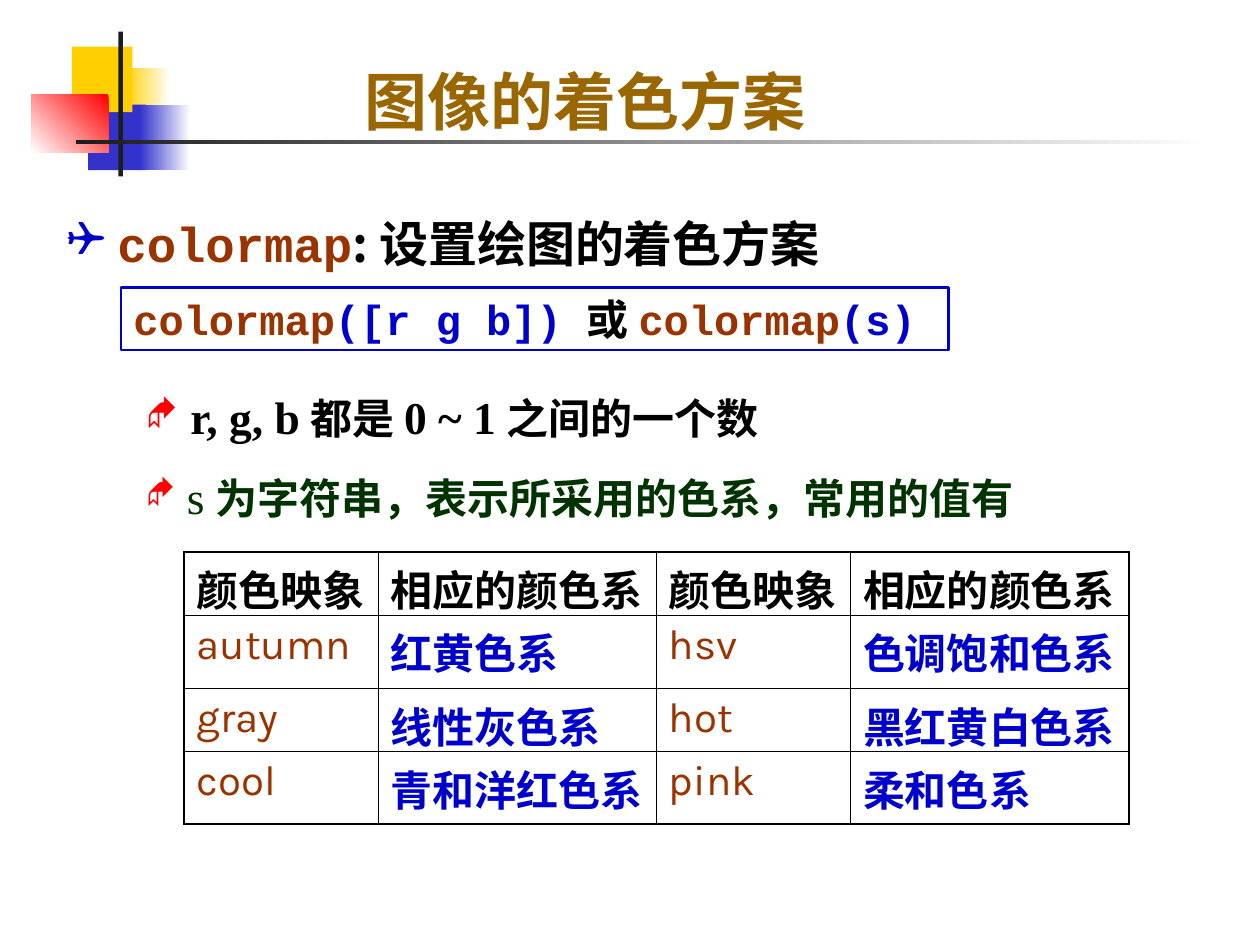
from lxml import etree
from pptx import Presentation, util as u
from pptx.dml.color import RGBColor
from pptx.enum import shapes, text
from pptx.oxml.ns import qn

THEME = dict(
    white="FFFFFF", black="000000", ink="1C1C1C", gold="FFCF01", indigo="3333CC",
    red="FF0000", title="996600", code="993300", blue="0000CC", green="003300",
    latin="Times New Roman", mono="Courier New", cjk="Noto Sans CJK SC", table="Karla",
    title_size=36, head_size=28, note_size=26, body_size=24,
)
T = THEME

prs = Presentation()
prs.slide_width, prs.slide_height = u.Inches(10), u.Inches(7.5)
COL, ROW = prs.slide_width / 100, prs.slide_height / 75
s = prs.slides.add_slide(prs.slide_layouts[5])


def grid(x, y, w, h):
    return [round(v * unit) for v, unit in zip((x, y, w, h), (COL, ROW, COL, ROW))]


def write(tf, runs, bullet=None, **para):
    for name, value in dict(margin_left=u.Inches(0.1), margin_right=u.Inches(0.1),
                            margin_top=u.Inches(0.05), margin_bottom=u.Inches(0.05),
                            word_wrap=True).items():
        setattr(tf, name, value)
    p = tf.paragraphs[0]
    for name, value in dict(alignment=text.PP_ALIGN.LEFT, **para).items():
        setattr(p, name, value)
    if bullet:
        char, color, share = bullet
        pPr = p._p.get_or_add_pPr()
        pPr.set("marL", "0")
        pPr.set("indent", "0")
        etree.SubElement(etree.SubElement(pPr, qn("a:buClr")), qn("a:srgbClr"), val=T[color])
        etree.SubElement(pPr, qn("a:buSzPct"), val=str(share * 1000))
        etree.SubElement(pPr, qn("a:buFont"), typeface="Wingdings")
        etree.SubElement(pPr, qn("a:buChar"), char=char)
    for words, font, size, color, bold in runs:
        r = p.add_run()
        r.text = words
        for name, value in dict(name=T[font], size=u.Pt(T[size]), bold=bold).items():
            setattr(r.font, name, value)
        r.font.color.rgb = RGBColor.from_string(T[color])
        ea = etree.Element(qn("a:ea"), typeface=T["cjk"])
        r.font._element.find(qn("a:latin")).addnext(ea)


decorations = [
    ((9.9, 5.4, 3.6, 5.2), ("white", "gold"), 180),
    ((7, 8.3, 4.6, 5.2), ("indigo",), None),
    ((5.7, 3.7, 4.8, 5.2), ("gold",), None),
    ((11.1, 8.3, 4, 5.2), ("white", "indigo"), 180),
    ((2.5, 7.5, 6.1, 4.6), ("red", "white"), 225),
    ((9.4, 2.5, 0.35, 11.5), ("ink",), None),
    ((6, 11.1, 90, 0.35), ("white", "ink"), 180),
]
for place, colors, angle in decorations:
    sp = s.shapes.add_shape(shapes.MSO_SHAPE.RECTANGLE, *grid(*place))
    sp.shadow.inherit = False
    sp.line.fill.background()
    if angle is None:
        sp.fill.solid()
        sp.fill.fore_color.rgb = RGBColor.from_string(T[colors[0]])
    else:
        sp.fill.gradient()
        sp.fill.gradient_angle = angle
        for stop, position, color in zip(sp.fill.gradient_stops, (0, 1), colors):
            stop.position = position
            stop.color.rgb = RGBColor.from_string(T[color])

title = s.shapes.title
for name, value in zip(("left", "top", "width", "height"), grid(27.9, 4.5, 48, 7)):
    setattr(title, name, value)
title.text_frame.vertical_anchor = text.MSO_ANCHOR.BOTTOM
write(title.text_frame, [("图像的着色方案", "latin", "title_size", "title", True)])

notes = [
    ((4.3, 15.5, 87.5, 6.6), ("❑", "blue", 100), 1.2, [
        (" ", "latin", "head_size", "black", True),
        ("colormap", "mono", "head_size", "code", True),
        (": 设置绘图的着色方案", "cjk", "head_size", "black", True)]),
    ((10.6, 30.4, 57.9, 5.4), ("◆", "red", 80), 1.0, [
        (" r, g, b", "latin", "note_size", "black", True),
        (" 都是 ", "latin", "body_size", "black", True),
        ("0 ~ 1", "latin", "note_size", "black", True),
        (" 之间的一个数", "latin", "body_size", "black", True)]),
    ((10.6, 36.7, 81.1, 5.4), ("◆", "red", 80), 1.0, [
        (" ", "latin", "body_size", "green", False),
        ("s", "latin", "note_size", "green", False),
        (" ", "latin", "body_size", "green", False),
        ("为字符串，表示所采用的色系，常用的值有", "latin", "body_size", "green", True)]),
]
for place, bullet, spacing, runs in notes:
    sp = s.shapes.add_textbox(*grid(*place))
    write(sp.text_frame, runs, bullet, line_spacing=spacing)

syntax = s.shapes.add_shape(shapes.MSO_SHAPE.RECTANGLE, *grid(9.6, 22.8, 65.7, 5))
syntax.shadow.inherit = False
syntax.fill.background()
syntax.line.color.rgb = RGBColor.from_string(T["blue"])
syntax.line.width = u.Pt(1.5)
syntax.text_frame.vertical_anchor = text.MSO_ANCHOR.TOP
write(syntax.text_frame, [
    (words, font, "body_size", color, True) for words, font, color in (
        ("colormap", "mono", "code"), ("([r g b]) ", "mono", "blue"),
        ("或 ", "cjk", "black"), ("colormap", "mono", "code"), ("(s)", "mono", "blue"))])

schemes = [
    ("颜色映象", "相应的颜色系") * 2,
    ("autumn", "红黄色系", "hsv", "色调饱和色系"),
    ("gray", "线性灰色系", "hot", "黑红黄白色系"),
    ("cool", "青和洋红色系", "pink", "柔和色系"),
]
widths, heights = (15.4, 22.1) * 2, (5, 5.8) * 2
tbl = s.shapes.add_table(4, 4, *grid(14.6, 43.8, sum(widths), sum(heights))).table
tbl.first_row = tbl.horz_banding = False
for column, width in zip(tbl.columns, widths):
    column.width = round(width * COL)
for row, height in zip(tbl.rows, heights):
    row.height = round(height * ROW)
for i, names in enumerate(schemes):
    for j, words in enumerate(names):
        cell = tbl.cell(i, j)
        color = "black" if i == 0 else ("code", "blue")[j % 2]
        write(cell.text_frame, [(words, "table", "body_size", color, i == 0 or j % 2 == 1)],
              space_before=u.Pt(6))
        tcPr = cell._tc.get_or_add_tcPr()
        for side, outer in (("L", j == 0), ("R", j == 3), ("T", i == 0), ("B", i == 3)):
            ln = etree.SubElement(tcPr, qn(f"a:ln{side}"), w=str(u.Pt(1.08 if outer else 0.45)))
            etree.SubElement(etree.SubElement(ln, qn("a:solidFill")), qn("a:srgbClr"), val=T["black"])
        cell.fill.background()

prs.save("out.pptx")
